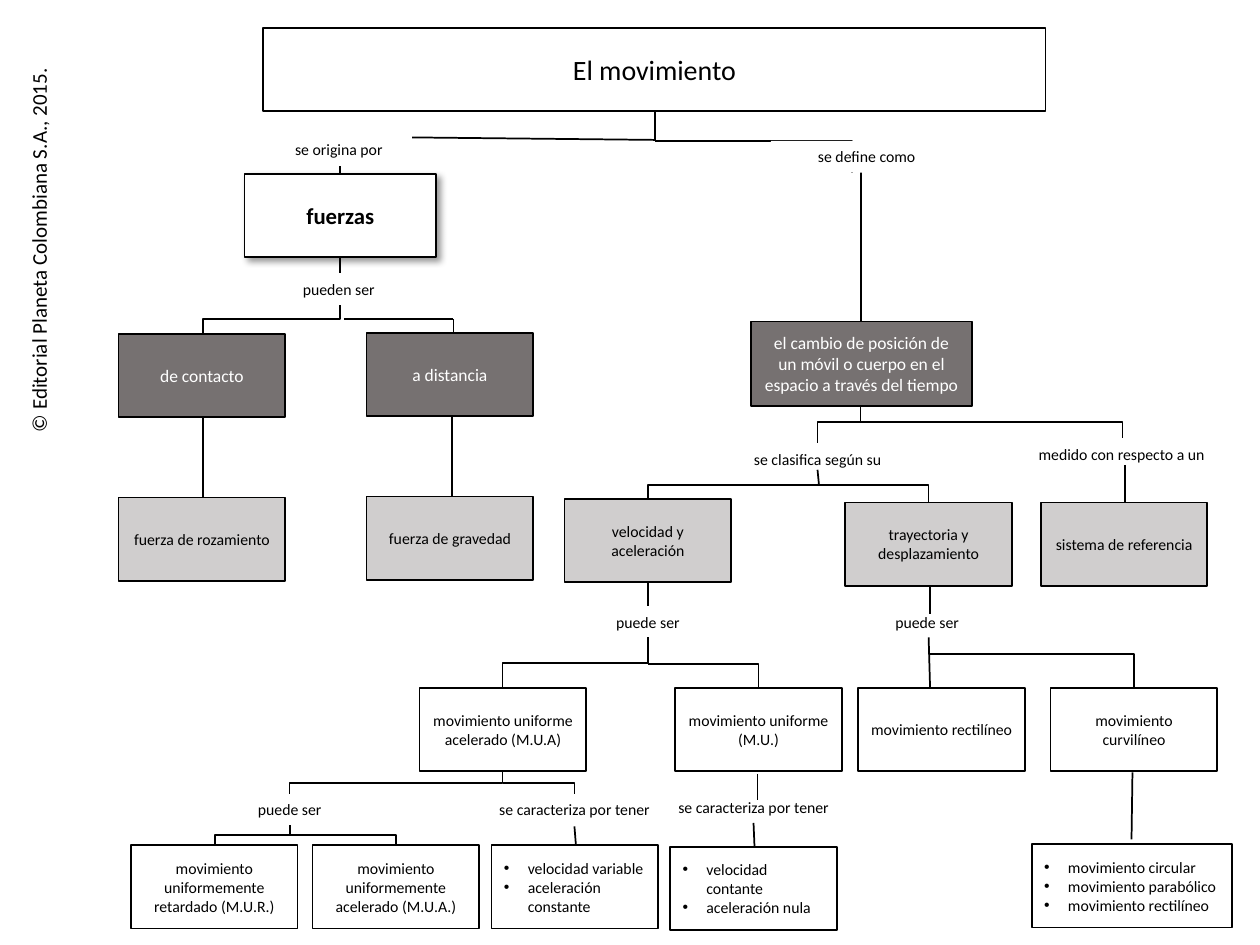
"""Build a concept map of movement on one slide."""
from lxml import etree
from pptx import Presentation, util as u
from pptx.dml import color as col
from pptx.enum import shapes as sh, text as tx
from pptx.oxml import ns, parse_xml


class Theme:
    face = "Calibri"
    black = col.RGBColor(0, 0, 0)
    white = col.RGBColor(255, 255, 255)
    dark = col.RGBColor(0x76, 0x71, 0x71)
    light = col.RGBColor(0xD0, 0xCE, 0xCE)
    title, head, note, mid, small = 16, 13, 12, 10, 9
    rule = 1


def write(frame, words, size, ink=Theme.black, align=tx.PP_ALIGN.CENTER, bold=None):
    frame.word_wrap = True
    frame.text = words
    for par in frame.paragraphs:
        par.alignment = align
        for run in par.runs:
            run.font.name = Theme.face
            run.font.size = u.Pt(size)
            run.font.color.rgb = ink
            run.font.bold = bold


def wire(kind, *ends):
    line = slide.shapes.add_connector(kind, *map(u.Cm, ends))
    line.line.color.rgb = Theme.black
    line.line.width = u.Pt(Theme.rule)
    props = line._element.spPr
    etree.SubElement(props, ns.qn("a:effectLst"))
    return props


deck = Presentation()
deck.slide_width, deck.slide_height = u.Cm(25.4), u.Cm(19.05)
slide = deck.slides.add_slide(deck.slide_layouts[6])

lines = [
    (13.18, 2.82, 8.31, 2.77), (13.21, 2.24, 13.21, 2.84),
    (6.86, 3.35, 6.86, 3.51), (6.86, 5.18, 6.86, 5.51),
    (17.35, 3.35, 17.35, 6.48), (6.93, 6.43, 9.14, 6.43),
    (9.14, 6.43, 9.14, 6.71), (4.09, 8.41, 4.09, 10.03),
    (9.12, 8.38, 9.12, 10), (16.48, 9.47, 16.51, 9.78),
    (22.68, 9.37, 22.68, 10.13), (13.06, 11.73, 13.06, 12.22),
    (18.75, 11.84, 18.75, 12.37), (18.72, 12.85, 18.75, 13.89),
    (15.27, 15.6, 15.27, 16.13), (15.19, 16.59, 15.21, 17.07),
    (11.58, 16.66, 11.61, 17.04), (22.83, 15.57, 22.81, 16.92),
]
for ends in lines:
    wire(sh.MSO_CONNECTOR.STRAIGHT, *ends)

bends = [
    (13.21, 2.84, 17.17, 3.48), (17.35, 8.51, 16.48, 8.94),
    (16.48, 9.78, 13.06, 10.06), (16.48, 9.78, 18.72, 10.13),
    (13.06, 13.39, 15.29, 13.89), (18.75, 13.18, 22.86, 13.87),
    (10.13, 15.78, 5.84, 16), (5.84, 16.84, 4.34, 17.04),
]
for ends in bends:
    props = wire(sh.MSO_CONNECTOR.ELBOW, *ends)
    props.find(ns.qn("a:prstGeom")).set("prst", "bentConnector2")

steps = [
    (6.86, 6.15, 4.09, 6.73), (17.35, 8.18, 22.63, 8.84),
    (13.06, 12.85, 10.13, 13.87), (10.13, 15.57, 11.58, 16),
    (5.84, 16.64, 7.98, 17.04),
]
for x, y, far, low in steps:
    midx, midy = (x + far) / 2, (y + low) / 2
    wide, tall = (far - x) / 2, (low - y) / 2
    props = wire(sh.MSO_CONNECTOR.ELBOW, midx - tall, midy + wide, midx + tall, midy - wide)
    props.find(ns.qn("a:xfrm")).set("rot", "5400000")

size = (3.36, 1.68)
plain = (Theme.white, Theme.black, Theme.small)
grey = (Theme.light, Theme.black, Theme.small)
deep = (Theme.dark, Theme.white, Theme.mid)
boxes = [
    (5.31, 0.56, (15.77, 1.68), (Theme.white, Theme.black, Theme.title), "El movimiento"),
    (4.93, 3.51, (3.86, 1.68), (Theme.white, Theme.black, Theme.head), "fuerzas"),
    (2.39, 6.73, size, deep, "de contacto"),
    (7.39, 6.71, size, deep, "a distancia"),
    (15.14, 6.48, (4.45, 1.7), deep,
     "el cambio de posición de un móvil o cuerpo en el espacio a través del tiempo"),
    (2.39, 10.03, size, grey, "fuerza de rozamiento"),
    (7.39, 10.01, size, grey, "fuerza de gravedad"),
    (11.38, 10.06, size, grey, "velocidad y aceleración"),
    (17.04, 10.13, size, grey, "trayectoria y desplazamiento"),
    (20.98, 10.13, size, grey, "sistema de referencia"),
    (8.46, 13.87, size, plain, "movimiento uniforme acelerado (M.U.A)"),
    (13.61, 13.87, size, plain, "movimiento uniforme (M.U.)"),
    (17.3, 13.87, size, plain, "movimiento rectilíneo"),
    (21.18, 13.87, size, plain, "movimiento curvilíneo"),
    (2.64, 17.04, size, plain, "movimiento uniformemente retardado (M.U.R.)"),
    (6.3, 17.04, size, plain, "movimiento uniformemente acelerado (M.U.A.)"),
    (9.91, 17.04, size, plain, "velocidad variable\naceleración constante"),
    (13.51, 17.07, size, plain, "velocidad contante\naceleración nula"),
    (20.8, 17.02, (4.04, 1.68), plain,
     "movimiento circular\nmovimiento parabólico\nmovimiento rectilíneo"),
]
for x, y, area, (fill, ink, pts), words in boxes:
    box = slide.shapes.add_shape(sh.MSO_SHAPE.RECTANGLE, *map(u.Cm, (x, y, *area)))
    box.shadow.inherit = False
    box.fill.solid()
    box.fill.fore_color.rgb = fill
    box.line.color.rgb = Theme.black
    box.line.width = u.Pt(Theme.rule)
    box.text_frame.vertical_anchor = tx.MSO_ANCHOR.MIDDLE
    list_ = "\n" in words
    align = tx.PP_ALIGN.LEFT if list_ else tx.PP_ALIGN.CENTER
    main = words == "fuerzas"
    write(box.text_frame, words, pts, ink, align, main or None)
    if main:
        box._element.spPr.find(ns.qn("a:effectLst")).append(parse_xml(
            f'<a:outerShdw {ns.nsdecls("a")} blurRad="50800" dist="38100" dir="2700000" '
            'algn="tl" rotWithShape="0"><a:srgbClr val="000000"><a:alpha val="40000"/>'
            '</a:srgbClr></a:outerShdw>'))
    if list_:
        for par in box.text_frame.paragraphs:
            props = par._p.get_or_add_pPr()
            props.set("marL", str(u.Cm(0.48)))
            props.set("indent", str(u.Cm(-0.48)))
            etree.SubElement(props, ns.qn("a:buFont")).set("typeface", "Arial")
            etree.SubElement(props, ns.qn("a:buChar")).set("char", "•")

tags = [
    (4.9, 2.69, "se origina por"), (15.54, 2.84, "se define como"),
    (4.9, 5.51, "pueden ser"), (14.55, 8.94, "se clasifica según su"),
    (20.68, 8.84, "medido con respecto a un"),
    (11.13, 12.22, "puede ser"), (16.76, 12.22, "puede ser"),
    (3.91, 16, "puede ser"), (9.65, 16, "se caracteriza por tener"),
    (13.26, 15.95, "se caracteriza por tener"),
]
for x, y, words in tags:
    tag = slide.shapes.add_textbox(*map(u.Cm, (x, y, 3.86, 0.64)))
    write(tag.text_frame, words, Theme.small)
    if words == "se define como":
        tag.fill.solid()
        tag.fill.fore_color.rgb = Theme.white

note = slide.shapes.add_textbox(*map(u.Cm, (-3.18, 4.62, 7.92, 0.76)))
note.rotation = 270
write(note.text_frame, "© Editorial Planeta Colombiana S.A., 2015.", Theme.note,
      align=tx.PP_ALIGN.LEFT)
note.text_frame.word_wrap = False

deck.save("out.pptx")
